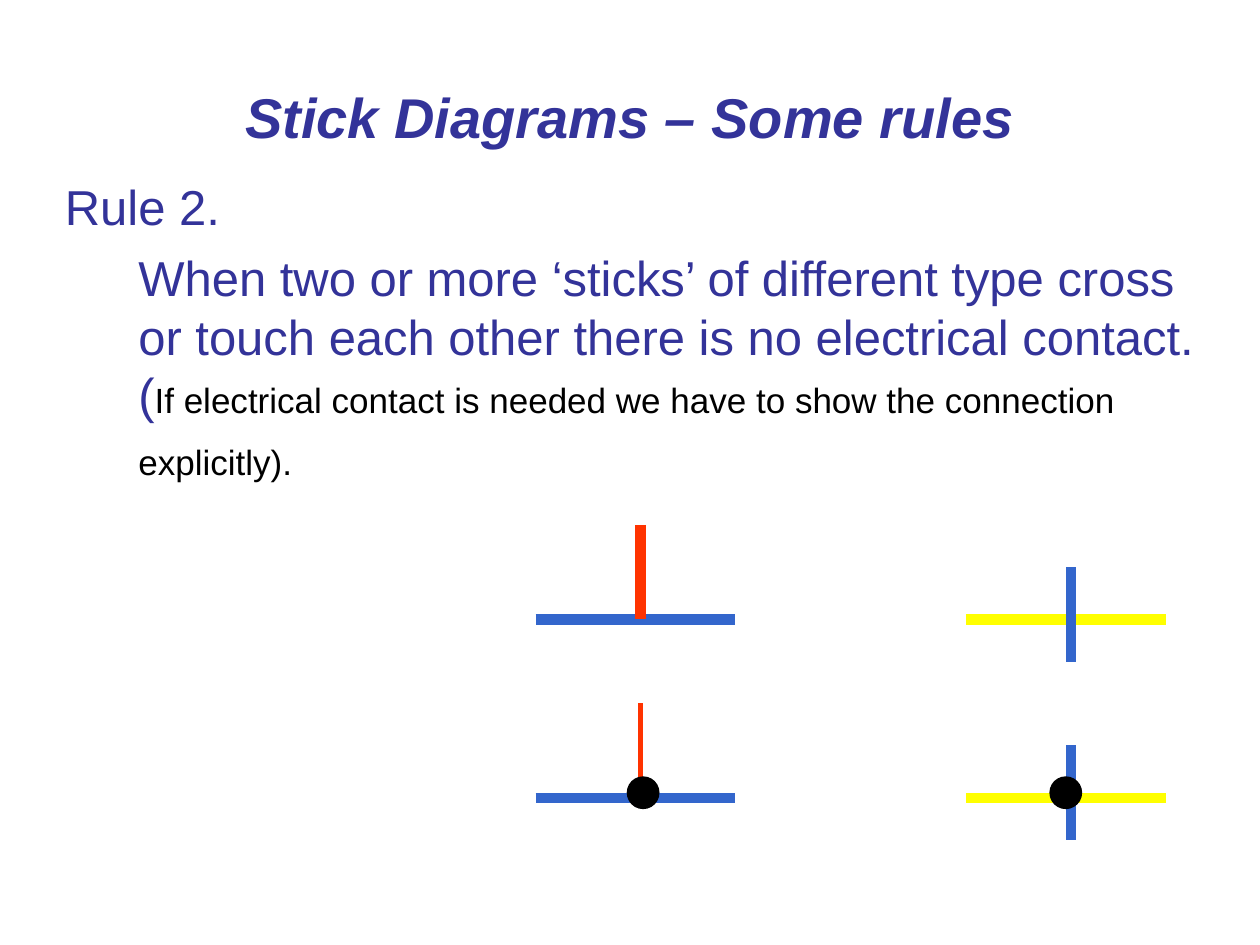
from lxml.etree import SubElement
from pptx import Presentation
from pptx.dml.color import RGBColor
from pptx.enum.shapes import MSO_CONNECTOR, MSO_SHAPE
from pptx.enum.text import MSO_ANCHOR, PP_ALIGN
from pptx.oxml.ns import qn
from pptx.util import Pt

NAVY, BLUE, RED, YELLOW, BLACK = "333399", "3366CC", "FF3300", "FFFF00", "000000"


def color(value):
    """Turn a hex string into a colour."""
    return RGBColor.from_string(value)


def add_text_frame(slide, left, top, width, height, anchor):
    """Add a wrapping text box and return its text frame."""
    frame = slide.shapes.add_textbox(Pt(left), Pt(top), Pt(width), Pt(height)).text_frame
    frame.word_wrap = True
    frame.vertical_anchor = anchor
    return frame


def add_run(paragraph, text, size, hex_color, emphasis=False):
    """Add one formatted run to a paragraph."""
    run = paragraph.add_run()
    run.text = text
    run.font.name = "Arial"
    run.font.size = Pt(size)
    run.font.bold = run.font.italic = emphasis
    run.font.color.rgb = color(hex_color)


def add_title(slide):
    """Add the centred slide title."""
    frame = add_text_frame(slide, 36, 21.6, 648, 90, MSO_ANCHOR.MIDDLE)
    paragraph = frame.paragraphs[0]
    paragraph.alignment = PP_ALIGN.CENTER
    add_run(paragraph, "Stick Diagrams – Some rules", 32, NAVY, emphasis=True)


def add_rule(slide):
    """Add the rule heading and its indented explanation."""
    frame = add_text_frame(slide, 30, 97.5, 678, 190, MSO_ANCHOR.TOP)
    heading = frame.paragraphs[0]
    heading.line_spacing = Pt(33.5)
    add_run(heading, "Rule 2.", 28, NAVY)
    explanation = frame.add_paragraph()
    explanation.line_spacing = Pt(33.5)
    explanation.space_before = Pt(7)
    explanation._p.get_or_add_pPr().set("marL", str(Pt(42)))
    add_run(explanation, "When two or more ‘sticks’ of different type cross "
            "or touch each other there is no electrical contact.", 28, NAVY)
    explanation.add_line_break()
    add_run(explanation, "(", 28, NAVY)
    add_run(explanation, "If electrical contact is needed we have to show "
            "the connection explicitly).", 20, BLACK)


def add_stick(slide, start, end, hex_color, weight=6):
    """Add a straight stick between two points."""
    stick = slide.shapes.add_connector(
        MSO_CONNECTOR.STRAIGHT, *(Pt(value) for value in (*start, *end)))
    stick.line.color.rgb = color(hex_color)
    stick.line.width = Pt(weight)
    SubElement(stick._element.spPr, qn("a:effectLst"))


def add_crossing(slide, left, level, base_color, stick_color, rise, weight=6):
    """Add a horizontal stick met by a vertical one."""
    add_stick(slide, (left, level), (left + 114, level), base_color)
    top = level - rise
    add_stick(slide, (left + 60, top), (left + 60, top + 54), stick_color, weight)


def add_contact(slide, left, top):
    """Add a round contact dot."""
    dot = slide.shapes.add_shape(MSO_SHAPE.OVAL, Pt(left), Pt(top), Pt(18), Pt(18))
    dot.shadow.inherit = False
    dot.fill.solid()
    dot.fill.fore_color.rgb = color(BLACK)
    dot.line.color.rgb = color(BLACK)
    dot.line.width = Pt(0.75)


def main():
    """Build and save the slide."""
    presentation = Presentation()
    presentation.slide_width, presentation.slide_height = Pt(720), Pt(540)
    slide = presentation.slides.add_slide(presentation.slide_layouts[6])
    add_title(slide)
    add_rule(slide)
    for level, red_weight in ((354, 6), (456, 3)):
        add_crossing(slide, 306, level, BLUE, RED, 54, red_weight)
        add_crossing(slide, 552, level, YELLOW, BLUE, 30)
    for left in (600, 358.5):
        add_contact(slide, left, 444)
    presentation.save("out.pptx")


if __name__ == "__main__":
    main()
